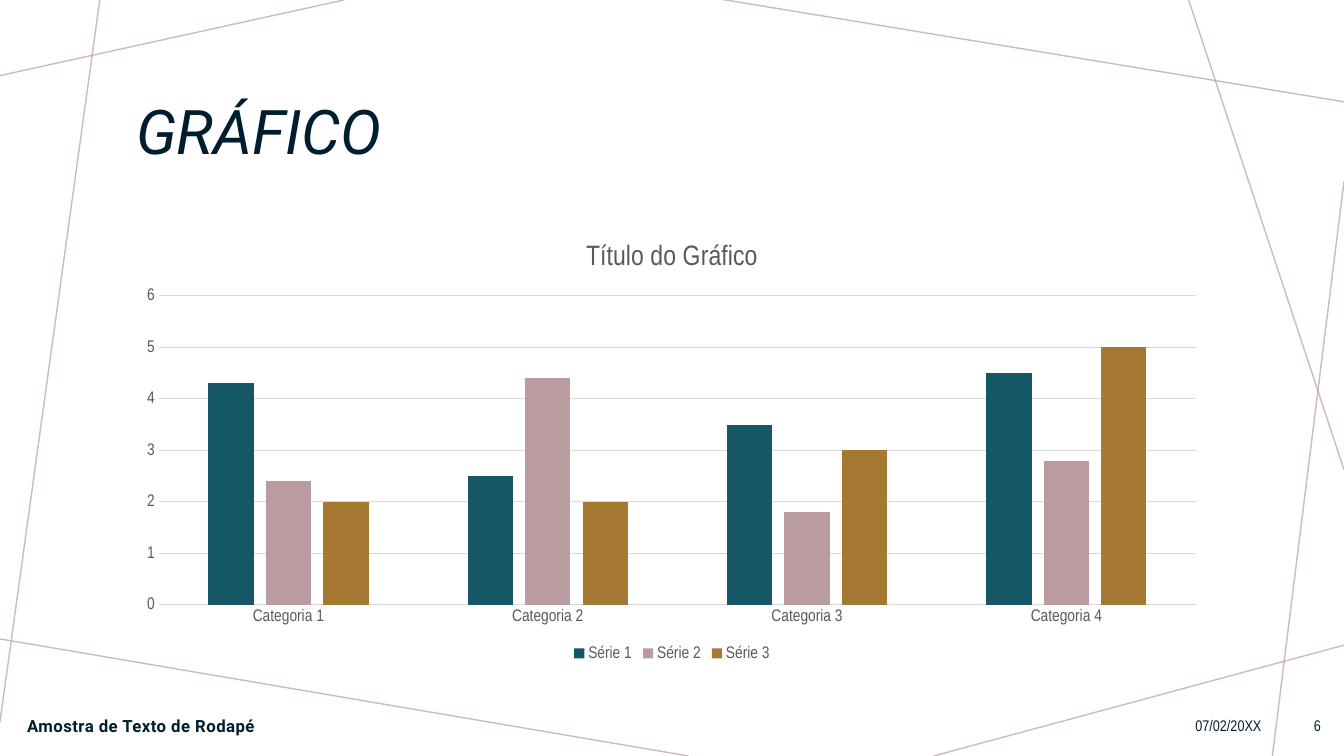
"""Build the chart slide with its crossing accent lines and footer."""
from lxml import etree
from pptx import Presentation, util as u
from pptx.chart import data
from pptx.dml.color import RGBColor
from pptx.enum import chart as ch, shapes, text
from pptx.oxml import parse_xml
from pptx.oxml.ns import nsdecls, qn

HEX = {"ink": "001E2E", "rose": "BA9CA0", "teal": "155767", "gold": "A57931",
       "gray": "595959", "grid": "D9D9D9", "white": "FFFFFF"}
BODY, HEAD = "Arial Narrow", "Roboto"
TITLE = "GRÁFICO"
NAME = "Título do Gráfico"
CATS = ["Categoria 1", "Categoria 2", "Categoria 3", "Categoria 4"]
SERIES = [("Série 1", (4.3, 2.5, 3.5, 4.5), "teal"),
          ("Série 2", (2.4, 4.4, 1.8, 2.8), "rose"),
          ("Série 3", (2, 2, 3, 5), "gold")]
LINES = [(3.41, 0, 0, 0.75), (0.99, 0, 0, 7.16), (6.83, 7.5, -0.05, 6.33),
         (13.33, 6.4, 9.26, 7.5), (13.33, 1.8, 12.62, 7.5),
         (13.33, 4.66, 11.79, 0), (13.33, 1.01, 7.14, -0.01)]
LEFT, RIGHT = text.PP_ALIGN.LEFT, text.PP_ALIGN.RIGHT
FOOT = [("Amostra de Texto de Rodapé", 0.17, 4.92, LEFT, HEAD, 12, True),
        ("07/02/20XX", 8.02, 4.59, RIGHT, BODY, 11, False),
        ("6", 12.69, 0.51, RIGHT, BODY, 11, False)]
PLOT = {"x": 0.03, "y": 0.167, "w": 0.95, "h": 0.697}


def color(key):
    return RGBColor.from_string(HEX[key])


def style(font, face, size, key, bold=False):
    font.name, font.size, font.bold = face, u.Pt(size), bold
    font.color.rgb = color(key)


def rule(line, key, width):
    line.color.rgb = color(key)
    line.width = u.Pt(width)


def add_lines(slide):
    for ends in LINES:
        line = slide.shapes.add_connector(
            shapes.MSO_CONNECTOR.STRAIGHT, *map(u.Inches, ends))
        rule(line.line, "rose", 1)
        props = line.element.spPr
        tint = next(props.iter(qn("a:srgbClr")))
        etree.SubElement(tint, qn("a:alpha")).set("val", "70000")
        etree.SubElement(props, qn("a:effectLst"))


def add_title(slide):
    title = slide.shapes.title
    title.left, title.top, title.width, title.height = map(
        u.Inches, (1.25, 0.58, 10.83, 1.51))
    frame = title.text_frame
    frame.text = TITLE
    frame.vertical_anchor = text.MSO_ANCHOR.MIDDLE
    para = frame.paragraphs[0]
    para.alignment, para.line_spacing = LEFT, 0.9
    style(para.font, HEAD, 44, "ink")
    para.font.italic = True


def add_chart(slide):
    table = data.CategoryChartData()
    table.categories = CATS
    for name, vals, key in SERIES:
        table.add_series(name, vals)
    chart = slide.shapes.add_chart(
        ch.XL_CHART_TYPE.COLUMN_CLUSTERED,
        *map(u.Inches, (1.25, 2.2, 10.83, 4.4)), table).chart
    style(chart.font, BODY, 12, "gray")
    chart.has_title = True
    chart.chart_title.text_frame.text = NAME
    style(chart.chart_title.text_frame.paragraphs[0].font, BODY, 20, "gray")
    chart.chart_title.include_in_layout = False
    chart.has_legend = True
    chart.legend.position = ch.XL_LEGEND_POSITION.BOTTOM
    chart.legend.include_in_layout = False
    style(chart.legend.font, BODY, 12, "gray")

    plot = chart.plots[0]
    plot.gap_width, plot.overlap, plot.vary_by_categories = 219, -27, False
    for bars, (name, vals, key) in zip(plot.series, SERIES):
        bars.format.fill.solid()
        bars.format.fill.fore_color.rgb = color(key)
        bars.invert_if_negative = False

    cat, val = chart.category_axis, chart.value_axis
    for axis in (cat, val):
        axis.major_tick_mark = axis.minor_tick_mark = ch.XL_TICK_MARK.NONE
        style(axis.tick_labels.font, BODY, 12, "gray")
    rule(cat.format.line, "grid", 0.75)
    val.format.line.fill.background()
    val.minimum_scale, val.maximum_scale, val.major_unit = 0, 6, 1
    val.has_major_gridlines = True
    rule(val.major_gridlines.format.line, "grid", 0.75)

    area = next(chart.element.iter(qn("c:plotArea")))
    for old in area.findall(qn("c:layout")):
        area.remove(old)
    spots = "".join(f'<c:{k} val="{v}"/>' for k, v in PLOT.items())
    area.insert(0, parse_xml(
        f'<c:layout {nsdecls("c")}><c:manualLayout>'
        '<c:layoutTarget val="inner"/><c:xMode val="edge"/>'
        f'<c:yMode val="edge"/>{spots}</c:manualLayout></c:layout>'))


def add_foot(slide):
    for words, left, width, align, face, size, bold in FOOT:
        box = slide.shapes.add_textbox(*map(u.Inches, (left, 7, width, 0.4)))
        frame = box.text_frame
        frame.word_wrap = True
        frame.vertical_anchor = text.MSO_ANCHOR.MIDDLE
        frame.text = words
        para = frame.paragraphs[0]
        para.alignment = align
        style(para.font, face, size, "ink", bold)
        if bold:
            para.runs[0].font.bold = True
            next(box.element.iter(qn("a:rPr"))).set("spc", "30")


def main():
    deck = Presentation()
    deck.slide_width, deck.slide_height = u.Inches(13.33), u.Inches(7.5)
    slide = deck.slides.add_slide(deck.slide_layouts[5])
    slide.background.fill.solid()
    slide.background.fill.fore_color.rgb = color("white")
    add_lines(slide)
    add_title(slide)
    add_chart(slide)
    add_foot(slide)
    deck.save("out.pptx")


if __name__ == "__main__":
    main()
